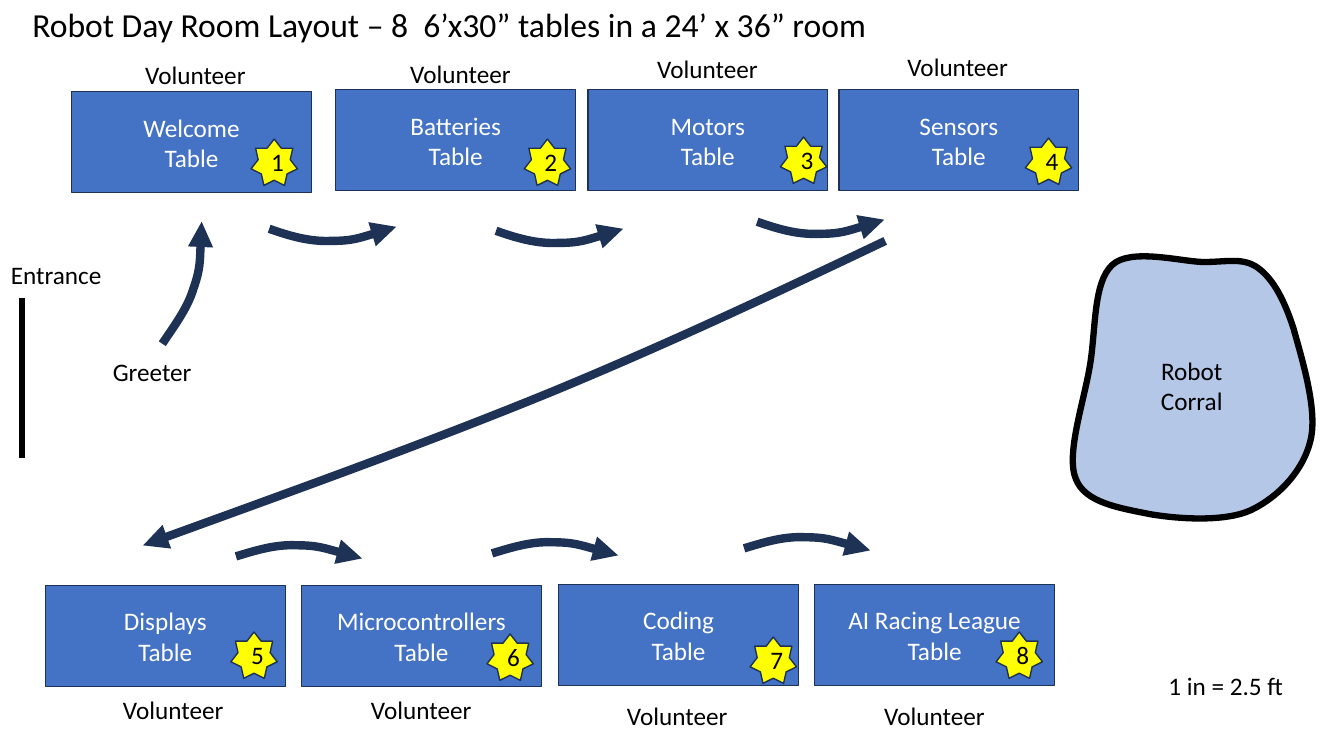
from collections import namedtuple

from lxml import etree
from pptx import Presentation
from pptx.dml.color import RGBColor
from pptx.enum.shapes import MSO_CONNECTOR, MSO_SHAPE
from pptx.enum.text import MSO_ANCHOR, MSO_AUTO_SIZE, PP_ALIGN
from pptx.oxml.ns import qn
from pptx.util import Inches, Pt

RECTANGLE = MSO_SHAPE.RECTANGLE
STAR = MSO_SHAPE.STAR_7_POINT
STRAIGHT = MSO_CONNECTOR.STRAIGHT
MIDDLE = MSO_ANCHOR.MIDDLE
NO_FIT = MSO_AUTO_SIZE.NONE
GROW = MSO_AUTO_SIZE.SHAPE_TO_FIT_TEXT
LEFT, CENTER = PP_ALIGN.LEFT, PP_ALIGN.CENTER

COLUMN = ROW = Inches(0.1)
COLUMNS, ROWS = 133.3, 75
BLUE, NAVY, PALE, YELLOW = "4472C4", "1E3256", "B4C7E7", "FFFF00"
BLACK, WHITE = "000000", "FFFFFF"

Box = namedtuple("Box", "left top width height")
Station = namedtuple("Station", "name left top star volunteer")

STATIONS = [
    Station("Welcome", 7.1, 9.1, (17.8, 4.7), (6.3, -3.7)),
    Station("Batteries", 33.3, 8.9, (18.7, 4.9), (6.4, -3.6)),
    Station("Motors", 58.3, 8.9, (19.1, 4.7), (5.9, -4.1)),
    Station("Sensors", 83.2, 8.9, (18.5, 4.8), (5.8, -4.3)),
    Station("Displays", 4.5, 58.1, (18.4, 4.6), (6.7, 10.3)),
    Station("Microcontrollers", 29.9, 58.1, (18.4, 4.8), (5.9, 10.3)),
    Station("Coding", 55.4, 58, (19, 5.2), (5.8, 11)),
    Station("AI Racing League", 80.8, 58, (18, 4.7), (5.9, 11)),
]

TOP_HOP = [(0, 0), (2, 0.7), (4, 1.3), (6.2, 1.2), (8.3, 1.2), (10.4, 0.5), (12.6, -0.2)]
BOTTOM_HOP = [(0, 0), (2, -0.6), (3.9, -1.2), (6, -1.1), (8.1, -1.1), (10.3, -0.4), (12.5, 0.2)]
WELCOME_BEND = [(0, 0), (1.2, -1.8), (2.5, -3.5), (3.1, -5.5), (3.8, -7.5), (3.8, -9.8), (3.9, -12.1)]
CROSSING = [(0, 0), (-10.3, 4.9), (-20.6, 9.8), (-32.9, 14.9), (-45.1, 19.9), (-59.3, 25), (-73.6, 30.2)]
ROUTE = [
    (16.1, 34.1, WELCOME_BEND),
    (26.7, 22.7, TOP_HOP), (49.2, 22.9, TOP_HOP), (75.1, 22, TOP_HOP),
    (87.8, 23.9, CROSSING),
    (23.4, 55.2, BOTTOM_HOP), (48.8, 54.9, BOTTOM_HOP), (73.8, 54.4, BOTTOM_HOP),
]
CORRAL = [
    (21.9, 7.2), (21, 4.4), (19.9, 2.3), (18.4, 1.2), (16.9, 0.1), (15.3, 0.6), (12.9, 0.6),
    (10.5, 0.5), (5.7, -0.8), (3.9, 0.9), (2, 2.7), (2.3, 7.4), (1.7, 10.9),
    (1.1, 14.5), (-0.7, 19.7), (0.3, 22.1), (1.2, 24.5), (4.7, 25), (7.6, 25.6),
    (10.5, 26.1), (15.1, 26.4), (17.7, 25.2), (20.4, 23.9), (22.9, 21.3), (23.6, 18.2),
    (24.3, 15.2), (22.7, 10.1), (21.9, 7.2),
]


def color(value):
    return RGBColor.from_string(value)


def emu(box):
    return [round(box.left * COLUMN), round(box.top * ROW),
            round(box.width * COLUMN), round(box.height * ROW)]


def within(parent, left, top, width, height):
    return Box(parent.left + left, parent.top + top, width, height)


def write(shape, lines, ink, align=CENTER, size=18):
    shape.text_frame.text = "\n".join(lines)
    for para in shape.text_frame.paragraphs:
        para.alignment = align
        para.font.name = "Calibri"
        para.font.size = Pt(size)
        para.font.color.rgb = color(ink)


def outline(shape, ink, width):
    shape.line.color.rgb = color(ink)
    shape.line.width = Pt(width)


def paint(shape, fill, ink, width):
    shape.shadow.inherit = False
    shape.fill.solid()
    shape.fill.fore_color.rgb = color(fill)
    outline(shape, ink, width)


def add_block(page, kind, box, fill, lines, ink):
    block = page.shapes.add_shape(kind, *emu(box))
    paint(block, fill, NAVY, 1)
    write(block, lines, ink)


def add_label(page, box, text):
    label = page.shapes.add_textbox(*emu(box))
    label.text_frame.word_wrap = False
    label.text_frame.auto_size = GROW
    write(label, [text], BLACK, LEFT)


def add_curve(page, box, points, close=False):
    spots = [(round((box.left + x) * COLUMN), round((box.top + y) * ROW)) for x, y in points]
    builder = page.shapes.build_freeform(*spots[0])
    builder.add_line_segments(spots[1:], close=close)
    curve = builder.convert_to_shape()
    segments = list(curve.element.iter(qn("a:lnTo")))
    for first in range(0, len(segments), 3):
        bend = etree.Element(qn("a:cubicBezTo"))
        segments[first].addprevious(bend)
        for segment in segments[first:first + 3]:
            bend.append(segment[0])
            segment.getparent().remove(segment)
    return curve


def add_title(page, box, text):
    title = page.shapes.title
    title.left, title.top, title.width, title.height = emu(box)
    write(title, [text], BLACK, LEFT, 24)
    title.text_frame.paragraphs[0].line_spacing = 0.9
    title.text_frame.vertical_anchor = MIDDLE
    title.text_frame.auto_size = NO_FIT


def add_station(page, box, number, station):
    add_block(page, RECTANGLE, box, BLUE, [station.name, "Table"], WHITE)
    add_label(page, within(box, *station.volunteer, 12.1, 4), "Volunteer")
    add_block(page, STAR, within(box, *station.star, 4.6, 4.6), YELLOW, [str(number)], BLACK)


def add_corral(page, box):
    corral = add_curve(page, box, CORRAL, close=True)
    paint(corral, PALE, BLACK, 4.5)
    write(corral, ["Robot", "Corral"], BLACK)


def add_entrance(page, box):
    add_label(page, within(box, 0, 0, 11.1, 4), "Entrance")
    add_label(page, within(box, 10.1, 9.7, 9.9, 4), "Greeter")
    left, top, _, height = emu(within(box, 2.1, 4.4, 0, 15.8))
    door = page.shapes.add_connector(STRAIGHT, left, top, left, top + height)
    outline(door, BLACK, 4.5)
    etree.SubElement(door.element.spPr, qn("a:effectLst"))


def add_route(page, box):
    for left, top, points in ROUTE:
        arrow = add_curve(page, within(box, left, top, 0, 0), points)
        arrow.shadow.inherit = False
        arrow.fill.background()
        outline(arrow, NAVY, 6)
        etree.SubElement(arrow.line._get_or_add_ln(), qn("a:tailEnd"), type="triangle")


deck = Presentation()
deck.slide_width, deck.slide_height = round(COLUMNS * COLUMN), ROWS * ROW
page = deck.slides.add_slide(deck.slide_layouts[5])
room = Box(0, 0, COLUMNS, ROWS)

add_title(page, within(room, 2.2, 1.3, 115, 2.6),
          "Robot Day Room Layout – 8  6’x30” tables in a 24’ x 36” room")
for number, station in enumerate(STATIONS, 1):
    add_station(page, within(room, station.left, station.top, 23.8, 10), number, station)
add_corral(page, within(room, 106.4, 25.4, 23.8, 26))
add_entrance(page, within(room, 0.1, 25.2, 20, 20.2))
add_label(page, within(room, 114.9, 66, 13.6, 4), "1 in = 2.5 ft")
add_route(page, room)

deck.save("out.pptx")
